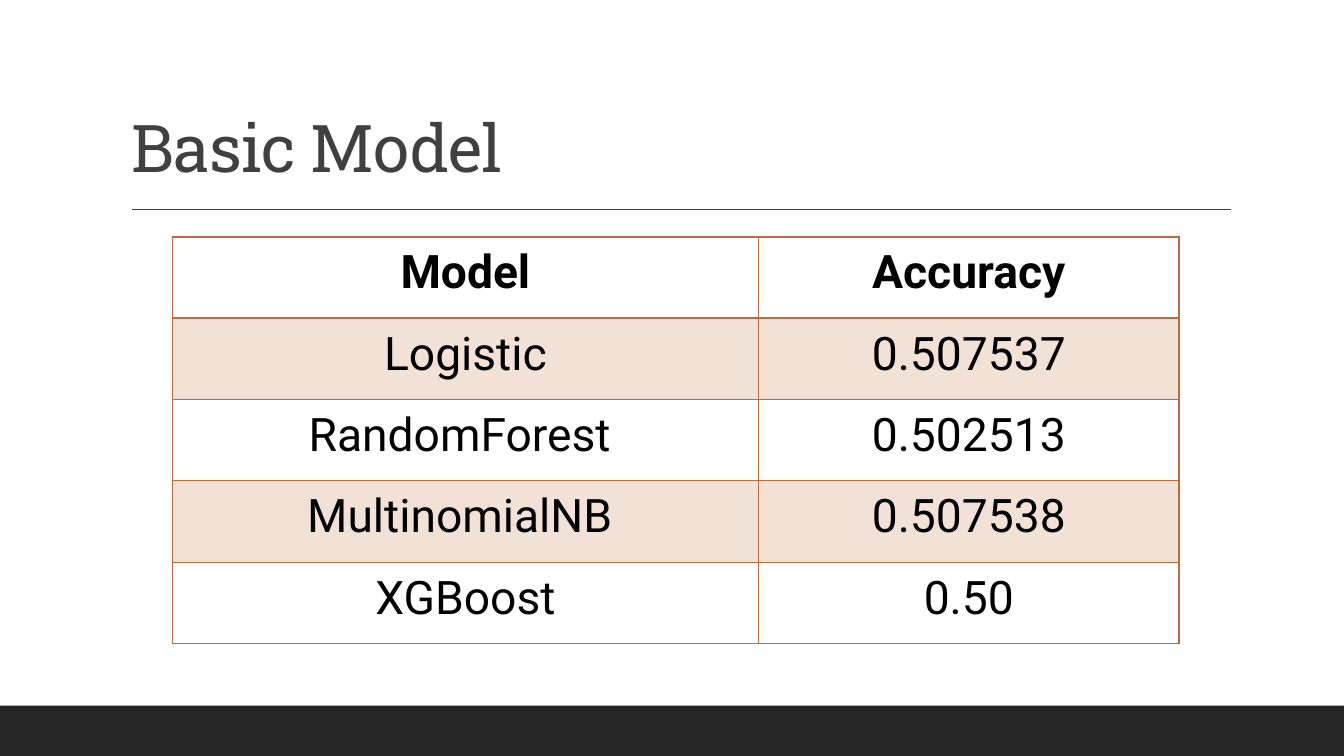
from dataclasses import dataclass
from lxml.etree import SubElement as Sub
from pptx import Presentation as Deck
from pptx.dml.color import RGBColor as Rgb
from pptx.enum.shapes import MSO_CONNECTOR as Link, MSO_SHAPE as Kind
from pptx.enum.text import MSO_ANCHOR as Anchor, MSO_AUTO_SIZE as Fit, PP_ALIGN as Align
from pptx.oxml.ns import qn
from pptx.util import Cm, Pt


@dataclass(frozen=True)
class Theme:
    head: str = "Roboto Slab"
    body: str = "Roboto"
    big: int = 47
    text: int = 33
    thin: int = 1
    thick: int = 2
    tint: int = 20
    gray: str = "404040"
    dark: str = "262626"
    ink: str = "000000"
    rust: str = "BF6A3B"


class Page:
    def __init__(self, slide, theme):
        self.slide = slide
        self.theme = theme

    def font(self, para, face, size, color, bold=False):
        font = para.font
        font.name, font.size, font.bold = face, Pt(size), bold
        font.color.rgb = Rgb.from_string(color)

    def bar(self, *box):
        shape = self.slide.shapes.add_shape(Kind.RECTANGLE, *map(Cm, box))
        shape.shadow.inherit = False
        shape.fill.solid()
        shape.fill.fore_color.rgb = Rgb.from_string(self.theme.dark)
        shape.line.fill.background()

    def rule(self, *ends):
        line = self.slide.shapes.add_connector(Link.STRAIGHT, *map(Cm, ends))
        line.line.width = Pt(self.theme.thin)
        line.line.color.rgb = Rgb.from_string(self.theme.gray)
        Sub(line._element.spPr, qn("a:effectLst"))

    def title(self, text, *box):
        shape = self.slide.shapes.title
        shape.left, shape.top, shape.width, shape.height = map(Cm, box)
        frame = shape.text_frame
        frame.text = text
        frame.word_wrap = True
        frame.auto_size = Fit.NONE
        frame.vertical_anchor = Anchor.BOTTOM
        para = frame.paragraphs[0]
        para.alignment = Align.LEFT
        para.line_spacing = 0.9
        self.font(para, self.theme.head, self.theme.big, self.theme.gray)
        para.runs[0].font._element.set("spc", "-50")

    def edge(self, cell, side, width):
        line = Sub(cell._tc.get_or_add_tcPr(), qn("a:ln" + side), w=str(Pt(width)))
        fill = Sub(line, qn("a:solidFill"))
        Sub(fill, qn("a:srgbClr"), val=self.theme.rust)

    def cell(self, cell, text, row):
        theme = self.theme
        cell.text = text
        cell.margin_left = cell.margin_right = Cm(0.46)
        cell.margin_top = cell.margin_bottom = Cm(0.23)
        cell.vertical_anchor = Anchor.TOP
        para = cell.text_frame.paragraphs[0]
        para.alignment = Align.CENTER
        self.font(para, theme.body, theme.text, theme.ink, row == 0)
        heavy = {(0, "B"), (1, "T")}
        for side in "LRTB":
            self.edge(cell, side, theme.thick if (row, side) in heavy else theme.thin)
        if row % 2:
            cell.fill.solid()
            cell.fill.fore_color.rgb = Rgb.from_string(theme.rust)
            color = cell._tc.tcPr.find(qn("a:solidFill")).find(qn("a:srgbClr"))
            Sub(color, qn("a:alpha"), val=str(theme.tint * 1000))
        else:
            cell.fill.background()

    def table(self, data, left, top, cols, high):
        table = self.slide.shapes.add_table(
            len(data), len(cols), Cm(left), Cm(top), Cm(sum(cols)), Cm(high * len(data))
        ).table
        table.first_row = table.horz_banding = False
        for col, wide in zip(table.columns, cols):
            col.width = Cm(wide)
        for row, texts in enumerate(data):
            table.rows[row].height = Cm(high)
            for col, text in enumerate(texts):
                self.cell(table.cell(row, col), text, row)


def main():
    deck = Deck()
    deck.slide_width, deck.slide_height = Cm(33.87), Cm(19.05)
    page = Page(deck.slides.add_slide(deck.slide_layouts[5]), Theme())
    page.bar(0, 17.78, 33.87, 1.27)
    page.rule(3.33, 5.28, 31.01, 5.28)
    page.title("Basic Model", 3.05, 0.79, 27.94, 4.04)
    scores = [
        ("Model", "Accuracy"),
        ("Logistic", "0.507537"),
        ("RandomForest ", "0.502513"),
        ("MultinomialNB ", "0.507538"),
        ("XGBoost", "0.50"),
    ]
    page.table(scores, 4.34, 5.97, (14.78, 10.59), 2.05)
    deck.save("out.pptx")


if __name__ == "__main__":
    main()
